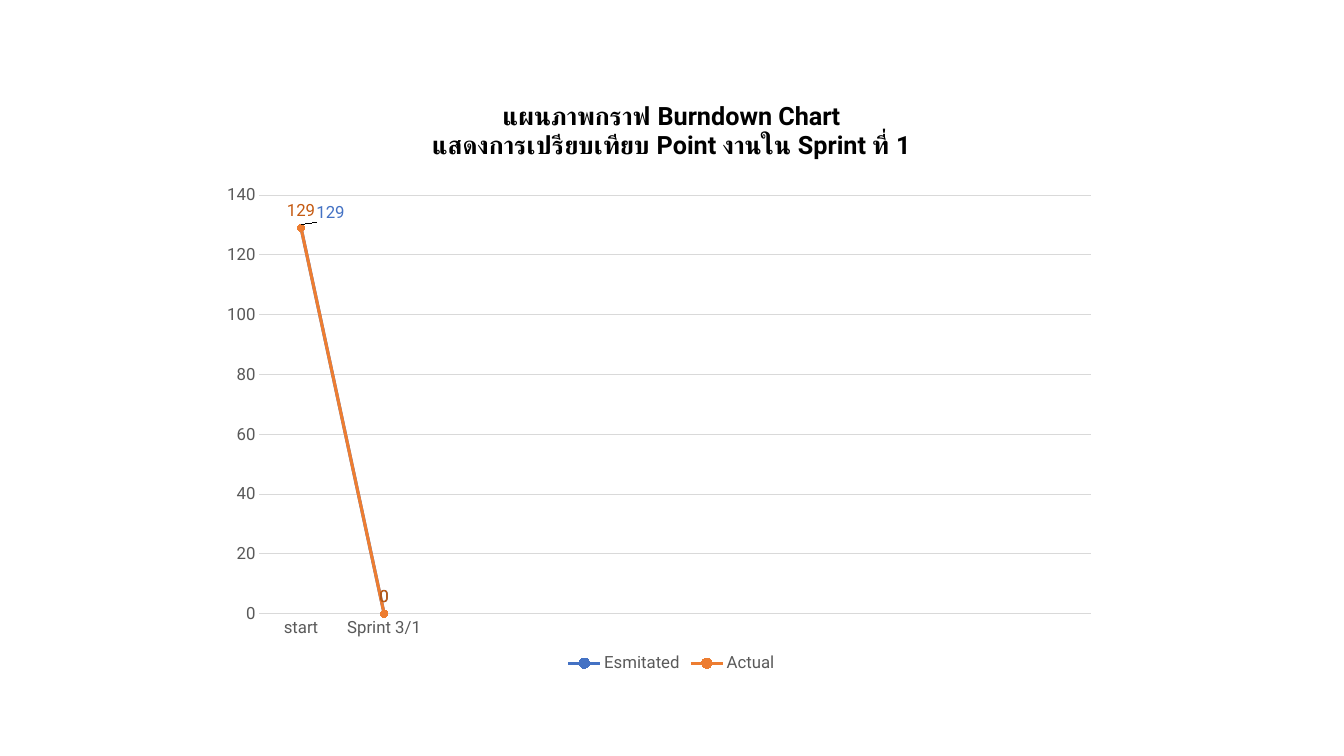
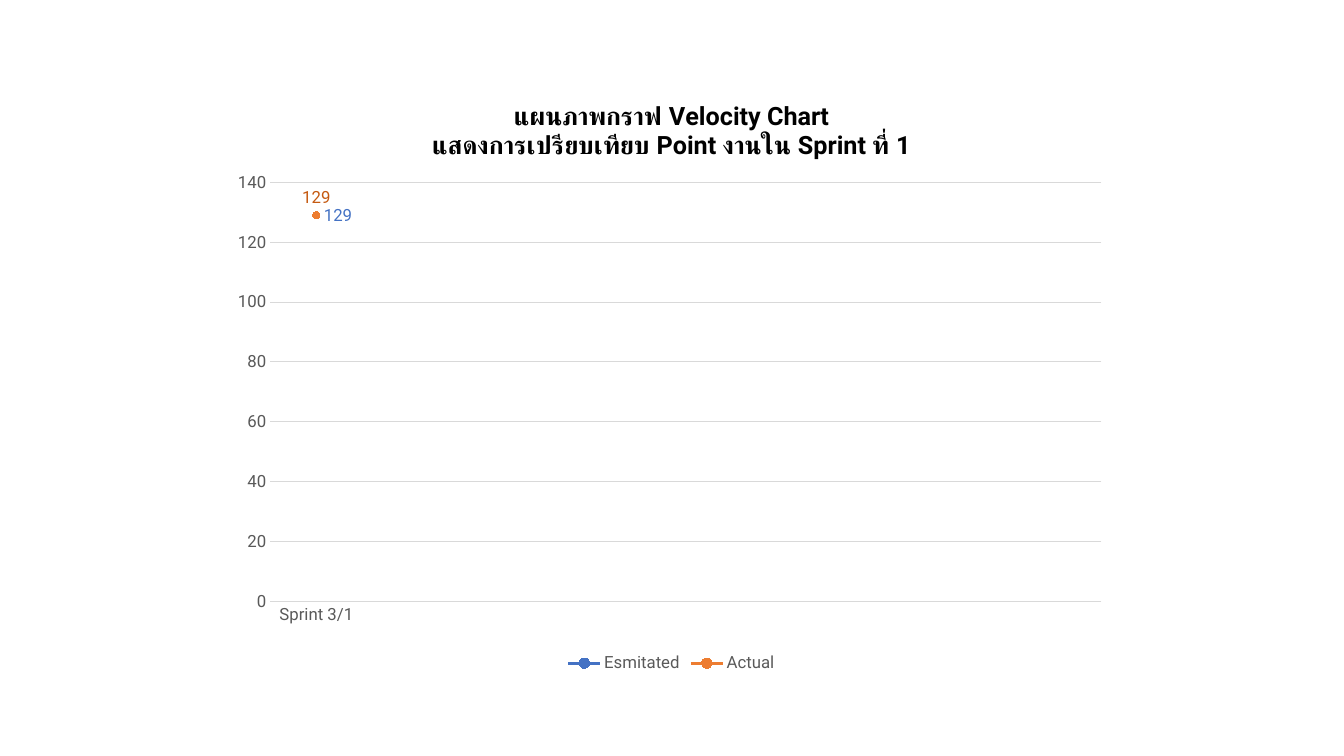
"""Build two sprint slides, a burndown chart and a velocity chart."""

from dataclasses import dataclass

from lxml import etree
from pptx import Presentation
from pptx.chart.chart import Chart
from pptx.chart.data import CategoryChartData
from pptx.chart.series import LineSeries
from pptx.dml.color import RGBColor
from pptx.enum.chart import (
    XL_CHART_TYPE,
    XL_LABEL_POSITION,
    XL_LEGEND_POSITION,
    XL_MARKER_STYLE,
    XL_TICK_MARK,
)
from pptx.oxml.ns import qn
from pptx.text.text import Font
from pptx.util import Emu, Pt

EMU_PER_PX = 9525
SLIDE_WIDTH, SLIDE_HEIGHT = 1280, 720
CHART_BOX = (213, 76, 853, 569)
BLANK_LAYOUT = 6

FONT_NAME = "Roboto"
BLACK = RGBColor(0x00, 0x00, 0x00)
DARK_GRAY = RGBColor(0x40, 0x40, 0x40)
AXIS_GRAY = RGBColor(0x59, 0x59, 0x59)
GRID_GRAY = RGBColor(0xD9, 0xD9, 0xD9)
BLUE = RGBColor(0x44, 0x72, 0xC4)
ORANGE = RGBColor(0xED, 0x7D, 0x31)
DARK_ORANGE = RGBColor(0xC5, 0x5A, 0x11)

LINE_MARKERS = XL_CHART_TYPE.LINE_MARKERS
ABOVE = XL_LABEL_POSITION.ABOVE
RIGHT = XL_LABEL_POSITION.RIGHT
BOTTOM = XL_LEGEND_POSITION.BOTTOM
CIRCLE = XL_MARKER_STYLE.CIRCLE
NO_TICK = XL_TICK_MARK.NONE


@dataclass(frozen=True)
class SeriesStyle:
    """Look of one line and its value labels."""

    name: str
    color: RGBColor
    label_color: RGBColor
    label_position: XL_LABEL_POSITION = ABOVE


@dataclass(frozen=True)
class SprintChart:
    """Content of one chart slide."""

    title: str
    categories: tuple[str, ...]
    slots: int
    values: tuple[int, ...]
    plot: dict[str, float]
    series: tuple[SeriesStyle, ...]
    start_label_shift: dict[str, float] | None = None


ACTUAL = SeriesStyle("Actual", ORANGE, DARK_ORANGE)
COMPARISON = "แสดงการเปรียบเทียบ Point งานใน Sprint ที่ 1"

CHARTS = (
    SprintChart(
        title=f"แผนภาพกราฟ Burndown Chart\n{COMPARISON}",
        categories=("start", "Sprint 3/1"),
        slots=10,
        values=(129, 0),
        plot={"x": 0.04, "y": 0.193, "w": 0.928, "h": 0.701},
        series=(SeriesStyle("Esmitated", BLUE, DARK_GRAY), ACTUAL),
        start_label_shift={"x": 0.033, "y": 0.003},
    ),
    SprintChart(
        title=f"แผนภาพกราฟ Velocity Chart\n{COMPARISON}",
        categories=("Sprint 3/1",),
        slots=9,
        values=(129,),
        plot={"x": 0.052, "y": 0.172, "w": 0.928, "h": 0.701},
        series=(SeriesStyle("Esmitated", BLUE, BLUE, RIGHT), ACTUAL),
    ),
)


def px(length: int) -> Emu:
    """Turn pixels into EMU."""
    return Emu(length * EMU_PER_PX)


def style_font(font: Font, size: int, color: RGBColor, bold: bool = False) -> None:
    """Set the shared typeface with a size, colour and weight."""
    font.name = FONT_NAME
    font.size = Pt(size)
    font.bold = bold
    font.color.rgb = color


def manual_layout(settings: dict[str, str | float]) -> etree._Element:
    """Make a chart layout element from its settings."""
    layout = etree.Element(qn("c:layout"))
    manual = etree.SubElement(layout, qn("c:manualLayout"))
    for tag, value in settings.items():
        etree.SubElement(manual, qn(f"c:{tag}")).set("val", str(value))
    return layout


def place_plot(chart: Chart, plot: dict[str, float]) -> None:
    """Fix the inner plot area as fractions of the chart."""
    plot_area = chart.element.xpath(".//c:plotArea")[0]
    for old_layout in plot_area.findall(qn("c:layout")):
        plot_area.remove(old_layout)
    settings = {"layoutTarget": "inner", "xMode": "edge", "yMode": "edge"}
    plot_area.insert(0, manual_layout(settings | plot))


def style_title(chart: Chart, title: str) -> None:
    """Write the bold two-line chart title."""
    chart.has_title = True
    chart.chart_title.include_in_layout = False
    text_frame = chart.chart_title.text_frame
    text_frame.text = title
    for paragraph in text_frame.paragraphs:
        for run in paragraph.runs:
            style_font(run.font, 18, BLACK, bold=True)


def style_axes(chart: Chart) -> None:
    """Format both axes, the gridlines and the legend."""
    category_axis, value_axis = chart.category_axis, chart.value_axis
    for axis in (category_axis, value_axis):
        axis.major_tick_mark = NO_TICK
        axis.minor_tick_mark = NO_TICK
        style_font(axis.tick_labels.font, 12, AXIS_GRAY)
    value_axis.minimum_scale = 0
    value_axis.maximum_scale = 140
    value_axis.major_unit = 20
    value_axis.has_major_gridlines = True
    value_axis.format.line.fill.background()
    for line in (category_axis.format.line, value_axis.major_gridlines.format.line):
        line.color.rgb = GRID_GRAY
        line.width = Pt(0.75)
    chart.has_legend = True
    chart.legend.position = BOTTOM
    chart.legend.include_in_layout = False
    style_font(chart.legend.font, 12, AXIS_GRAY)


def style_series(series: LineSeries, style: SeriesStyle) -> None:
    """Format a line, its markers and its value labels."""
    series.smooth = False
    series.format.line.color.rgb = style.color
    series.format.line.width = Pt(2.25)
    marker = series.marker
    marker.style = CIRCLE
    marker.size = 5
    marker.format.fill.solid()
    marker.format.fill.fore_color.rgb = style.color
    marker.format.line.color.rgb = style.color
    labels = series.data_labels
    labels.show_value = True
    labels.position = style.label_position
    labels.number_format = "#,##0"
    labels.number_format_is_linked = False
    style_font(labels.font, 12, style.label_color)


def shift_start_label(chart: Chart, shift: dict[str, float]) -> None:
    """Move the first estimated label clear of the actual one."""
    label = chart.plots[0].series[0].points[0].data_label
    style_font(label.font, 12, BLUE)
    label.position = ABOVE
    index = chart.element.xpath(".//c:dLbl/c:idx")[0]
    index.addnext(manual_layout(shift))


def add_chart_slide(presentation: Presentation, content: SprintChart) -> None:
    """Add a slide holding one sprint chart."""
    slide = presentation.slides.add_slide(presentation.slide_layouts[BLANK_LAYOUT])
    unused = content.slots - len(content.values)
    chart_data = CategoryChartData()
    chart_data.categories = content.categories + ("",) * unused
    for style in content.series:
        chart_data.add_series(style.name, content.values + (None,) * unused)
    chart = slide.shapes.add_chart(LINE_MARKERS, *map(px, CHART_BOX), chart_data).chart
    style_font(chart.font, 10, BLACK)
    style_title(chart, content.title)
    style_axes(chart)
    place_plot(chart, content.plot)
    chart.plots[0].vary_by_categories = False
    for series, style in zip(chart.plots[0].series, content.series):
        style_series(series, style)
    if content.start_label_shift:
        shift_start_label(chart, content.start_label_shift)


def main() -> None:
    """Build and save the presentation."""
    presentation = Presentation()
    presentation.slide_width = px(SLIDE_WIDTH)
    presentation.slide_height = px(SLIDE_HEIGHT)
    for content in CHARTS:
        add_chart_slide(presentation, content)
    presentation.save("out.pptx")


if __name__ == "__main__":
    main()
